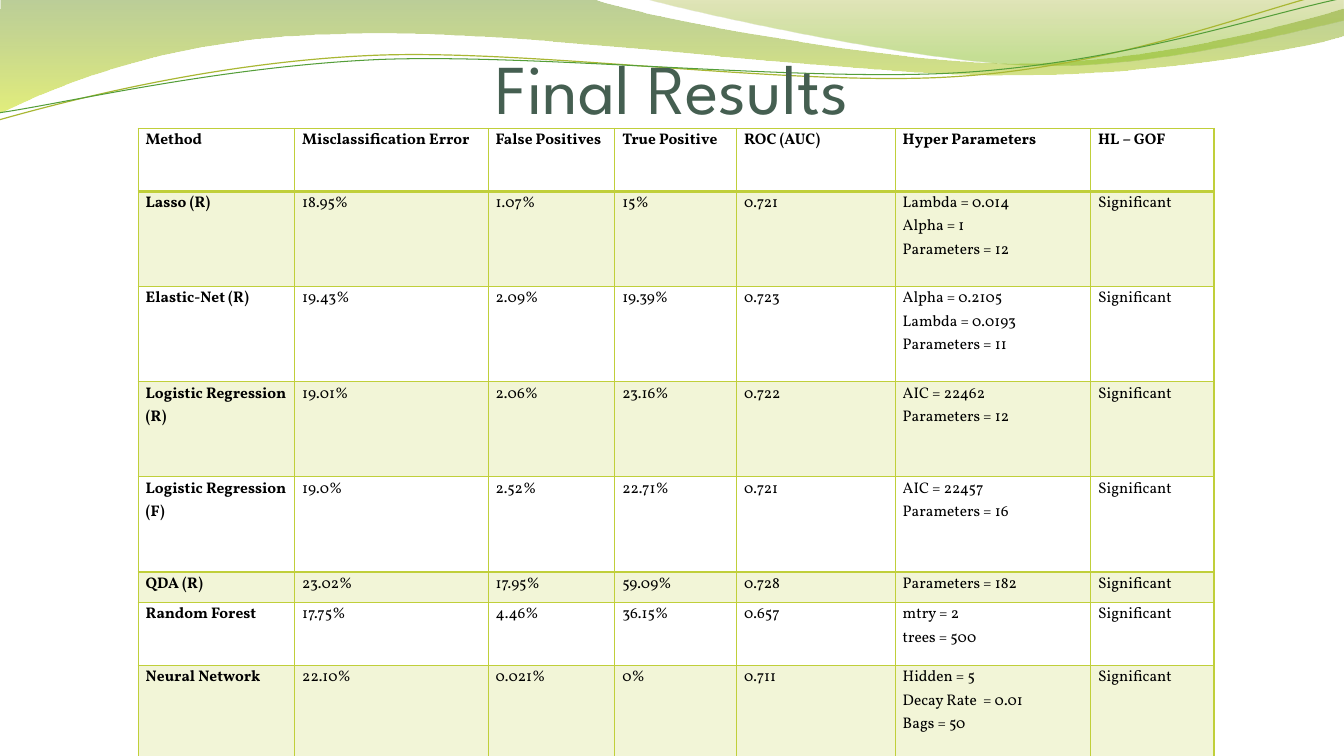
from math import cos, radians, sin

from lxml import etree
from pptx import Presentation
from pptx.dml.color import RGBColor
from pptx.enum.text import MSO_ANCHOR, PP_ALIGN
from pptx.oxml.ns import qn
from pptx.util import Pt

BOTTOM, TOP = MSO_ANCHOR.BOTTOM, MSO_ANCHOR.TOP
CENTER, LEFT = PP_ALIGN.CENTER, PP_ALIGN.LEFT
CURVE_TILT = -2.7

LEFT_WAVE = [(0, 0), (422.6, -0.7), (456.5, 12.2, 636.5, 45.4, 727.9, 45.4),
             (818.6, 45.4, 919.4, 18.7, 959.8, 6.5), (960.5, 25.9),
             (943.9, 31.7, 834.5, 54.7, 715.7, 54),
             (596.9, 54, 366.5, 20.2, 247, 24.5),
             (123.8, 25.9, 43.9, 59.8, -1.4, 81.4), (0, 0)]
RIGHT_WAVE = [(459.4, -0.7), (488.9, 7.9, 654.5, 44.6, 738, 46.8),
              (820.8, 49.7, 923, 23, 959.8, 15.1), (959.8, 0), (459.4, -0.7)]
OLIVE_LINE = [(-0.7, 85.7), (45.4, 72.7, 151.2, 44.6, 265.7, 39.6),
              (379.4, 34.6, 568.1, 62.6, 683.3, 54.7),
              (799.2, 47.5, 900.7, 5.8, 957.6, -7.2)]
GREEN_LINE = [(-0.7, 80.6), (44.6, 74.2, 157, 47.5, 271.4, 42.5),
              (386.6, 38.2, 573.1, 59, 687.6, 51.8),
              (802.8, 44.6, 903.6, 10.1, 959.8, -1.4)]

COLUMN_WIDTHS = [111.8, 138.2, 90.4, 87.1, 113.3, 139.6, 88.2]
ROW_HEIGHTS = [45, 68, 68, 68, 68, 21.8, 45, 68]
RESULTS = [
    ["Method", "Misclassification Error", "False Positives", "True Positive",
     "ROC (AUC)", "Hyper Parameters", "HL – GOF"],
    ["Lasso (R)", "18.95%", "1.07%", "15%", "0.721",
     "Lambda = 0.014\nAlpha = 1\nParameters = 12", "Significant"],
    ["Elastic-Net (R)", "19.43%", "2.09%", "19.39%", "0.723",
     "Alpha = 0.2105\nLambda = 0.0193\nParameters = 11", "Significant"],
    ["Logistic Regression (R)", "19.01%", "2.06%", "23.16%", "0.722",
     "AIC = 22462\nParameters = 12", "Significant"],
    ["Logistic Regression (F)", "19.0%", "2.52%", "22.71%", "0.721",
     "AIC = 22457\nParameters = 16", "Significant"],
    ["QDA (R)", "23.02%", "17.95%", "59.09%", "0.728",
     "Parameters = 182", "Significant"],
    ["Random Forest", "17.75%", "4.46%", "36.15%", "0.657",
     "mtry = 2\ntrees = 500", "Significant"],
    ["Neural Network", "22.10%", "0.021%", "0%", "0.711",
     "Hidden = 5\nDecay Rate  = 0.01\nBags = 50", "Significant"],
]


def rgb(value):
    return RGBColor.from_string(value)


def set_opacity(color_element, percent):
    alpha = etree.SubElement(color_element, qn("a:alpha"))
    alpha.set("val", str(percent * 1000))


def write_text(frame, text, font, size, color, bold=False, align=LEFT, spacing=1.0):
    frame.word_wrap = True
    frame.text = text
    for paragraph in frame.paragraphs:
        paragraph.alignment = align
        paragraph.line_spacing = spacing
        for run in paragraph.runs:
            run.font.name = font
            run.font.size = Pt(size)
            run.font.bold = bold
            run.font.color.rgb = rgb(color)


def segment_points(segment):
    return list(zip(segment[::2], segment[1::2]))


def rotate_segment(segment, center, degrees):
    cosine, sine = cos(radians(degrees)), sin(radians(degrees))
    rotated = []
    for x, y in segment_points(segment):
        across, down = x - center[0], y - center[1]
        rotated += [center[0] + across * cosine - down * sine,
                    center[1] + across * sine + down * cosine]
    return tuple(rotated)


def bend_segments(shape, segments):
    lines = iter(list(shape.element.spPr.iter(qn("a:lnTo"))))
    for segment in segments[1:]:
        first, *others = [next(lines) for _ in segment_points(segment)]
        if others:
            first.tag = qn("a:cubicBezTo")
        for line in others:
            first.append(line[0])
            line.getparent().remove(line)


class SlideBuilder:
    """Draws styled elements on one slide."""

    heading_font, body_font = "League Spartan", "Vollkorn"
    heading_color, body_color, accent = "455F51", "000000", "C0CF3A"

    def __init__(self, slide):
        self.slide = slide

    def outline(self, segments, close):
        points = [(Pt(x), Pt(y)) for segment in segments
                  for x, y in segment_points(segment)]
        freeform = self.slide.shapes.build_freeform(*points[0])
        freeform.add_line_segments(points[1:], close=close)
        shape = freeform.convert_to_shape()
        bend_segments(shape, segments)
        shape.shadow.inherit = False
        return shape

    def wave(self, segments, stops):
        shape = self.outline(segments, close=True)
        shape.line.fill.background()
        shape.fill.gradient()
        shape.fill.gradient_angle = 270
        for stop, (position, color, _) in zip(shape.fill.gradient_stops, stops):
            stop.position = position
            stop.color.rgb = rgb(color)
        color_elements = list(shape.element.spPr.iter(qn("a:srgbClr")))
        for element, (_, _, opacity) in zip(color_elements, stops):
            set_opacity(element, opacity)

    def curve(self, segments, center, color, width):
        level = [rotate_segment(segment, center, -CURVE_TILT) for segment in segments]
        shape = self.outline(level, close=False)
        shape.rotation = CURVE_TILT
        shape.fill.background()
        shape.line.color.rgb = rgb(color)
        shape.line.width = Pt(width)

    def title(self, text, left, top, width, height):
        box = self.slide.shapes.add_textbox(Pt(left), Pt(top), Pt(width), Pt(height))
        frame = box.text_frame
        frame.margin_left = frame.margin_right = frame.margin_bottom = 0
        frame.margin_top = Pt(3.6)
        frame.vertical_anchor = BOTTOM
        write_text(frame, text, self.heading_font, 50, self.heading_color, align=CENTER)

    def borders(self, cell, widths):
        properties = cell._tc.get_or_add_tcPr()
        for index, (side, width) in enumerate(widths.items()):
            line = etree.Element(qn(f"a:ln{side}"), w=str(Pt(width)))
            fill = etree.SubElement(line, qn("a:solidFill"))
            etree.SubElement(fill, qn("a:srgbClr"), val=self.accent)
            properties.insert(index, line)

    def table(self, rows, left, top, widths, heights):
        frame = self.slide.shapes.add_table(len(rows), len(widths), Pt(left), Pt(top),
                                            Pt(sum(widths)), Pt(sum(heights)))
        table = frame.table
        table.first_row = table.horz_banding = False
        for column, width in zip(table.columns, widths):
            column.width = Pt(width)
        for row, height in zip(table.rows, heights):
            row.height = Pt(height)
        for row_index, row in enumerate(rows):
            for column_index, text in enumerate(row):
                self.cell(table.cell(row_index, column_index), text, row_index, column_index)

    def cell(self, cell, text, row_index, column_index):
        cell.margin_left = cell.margin_right = Pt(5.4)
        cell.margin_top = cell.margin_bottom = 0
        cell.vertical_anchor = TOP
        write_text(cell.text_frame, text, self.body_font, 11, self.body_color,
                   bold=row_index == 0 or column_index == 0, spacing=1.07)
        if row_index % 2:
            cell.fill.solid()
            cell.fill.fore_color.rgb = rgb(self.accent)
            set_opacity(cell._tc.tcPr.find(".//" + qn("a:srgbClr")), 20)
        else:
            cell.fill.background()
        self.borders(cell, {"L": 1, "R": 1, "T": 2 if row_index == 1 else 1,
                            "B": 2 if row_index == 0 else 1})


presentation = Presentation()
presentation.slide_width, presentation.slide_height = Pt(960), Pt(540)
builder = SlideBuilder(presentation.slides.add_slide(presentation.slide_layouts[6]))
builder.wave(LEFT_WAVE, [(0, "69921C", 45), (1, "CCE10F", 55)])
builder.wave(RIGHT_WAVE, [(0, "9BAA1A", 30), (0.8, "81BA16", 45)])
builder.curve(OLIVE_LINE, (478.8, 41.4), "A9B733", 0.85)
builder.curve(GREEN_LINE, (480.2, 42.5), "549E39", 0.75)
builder.title("Final Results", 48, 1.8, 864, 90)
builder.table(RESULTS, 98.7, 91.7, COLUMN_WIDTHS, ROW_HEIGHTS)
presentation.save("out.pptx")
